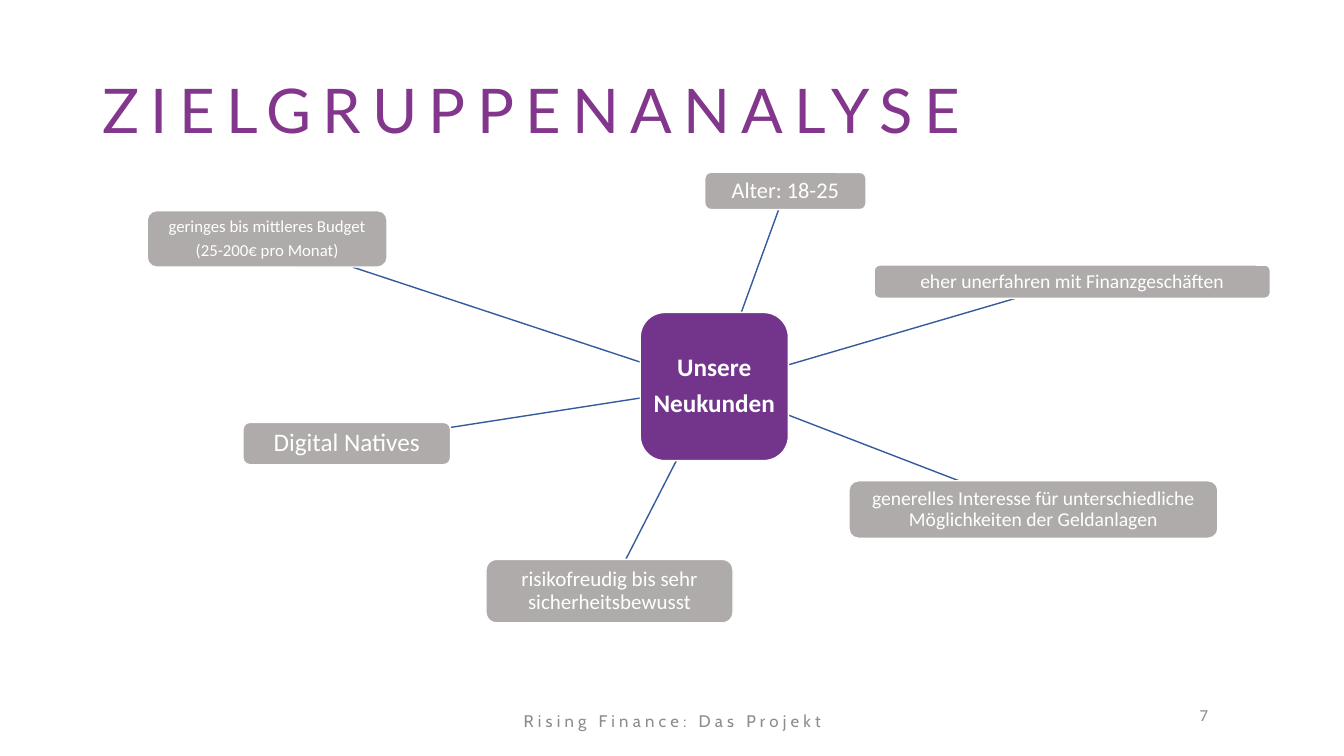
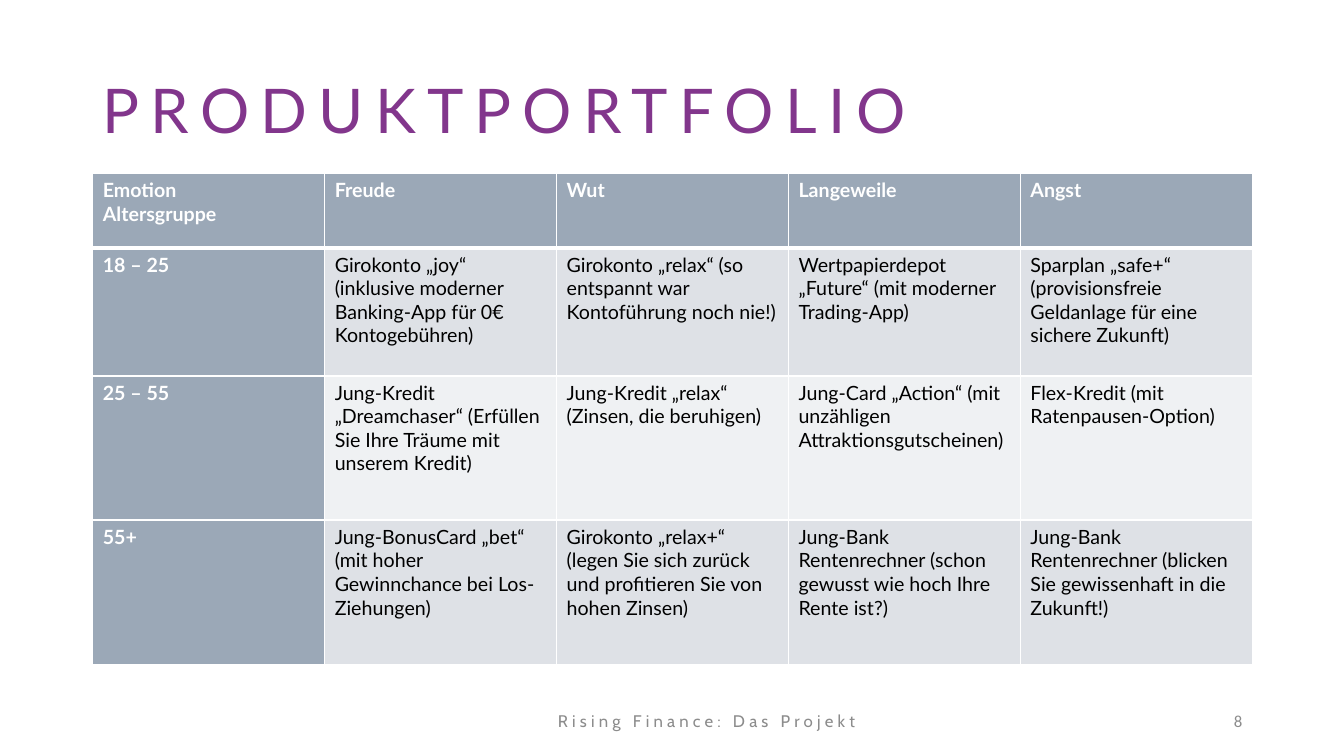
from lxml.etree import SubElement
from pptx import Presentation
from pptx.dml.color import RGBColor
from pptx.enum.shapes import MSO_CONNECTOR, MSO_SHAPE
from pptx.enum.text import MSO_ANCHOR, PP_ALIGN
from pptx.oxml import parse_xml
from pptx.oxml.ns import nsdecls, qn
from pptx.util import Inches, Pt

# Palette
PURPLE = RGBColor(0x82, 0x36, 0x8C)
INDIGO = RGBColor(0x27, 0x34, 0x8B)
HUB_PURPLE = RGBColor(0x72, 0x35, 0x8B)
LABEL_GRAY = RGBColor(0xAF, 0xAB, 0xAB)
SPOKE_BLUE = RGBColor(0x36, 0x5B, 0x9D)
FOOTER_GRAY = RGBColor(0x8C, 0x8C, 0x8C)
HEADER_BLUE = RGBColor(0x9B, 0xA8, 0xB7)
BAND_DARK = RGBColor(0xDE, 0xE1, 0xE6)
BAND_LIGHT = RGBColor(0xEF, 0xF1, 0xF3)
WHITE = RGBColor(0xFF, 0xFF, 0xFF)
BLACK = RGBColor(0, 0, 0)

FOOTER = "Rising Finance: Das Projekt"

# Mind map: (left, top, width, height), font size, text
HUB = ((6.35, 3.1, 1.47, 1.47), 18, "Unsere\nNeukunden")
LABELS = [
    ((6.99, 1.71, 1.6, 0.37), 16, "Alter: 18-25"),
    ((8.67, 2.63, 3.93, 0.33), 14, "eher unerfahren mit Finanzgeschäften"),
    ((8.42, 4.77, 3.66, 0.57), 14,
     "generelles Interesse für unterschiedliche Möglichkeiten der Geldanlagen"),
    ((4.82, 5.55, 2.45, 0.63), 15, "risikofreudig bis sehr sicherheitsbewusst"),
    ((2.41, 4.19, 2.06, 0.42), 18, "Digital Natives"),
    ((1.46, 2.09, 2.38, 0.56), 12,
     "geringes bis mittleres Budget\n(25-200€ pro Monat)"),
]

# Product table
ROW_HEIGHTS = [0.74, 1.27, 1.43, 1.43]
PRODUCTS = [
    ["Emotion\nAltersgruppe", "Freude", "Wut", "Langeweile", "Angst"],
    ["18 – 25",
     "Girokonto „joy“ (inklusive moderner Banking-App für 0€ Kontogebühren)",
     "Girokonto „relax“ (so entspannt war Kontoführung noch nie!)",
     "Wertpapierdepot „Future“ (mit moderner Trading-App)",
     "Sparplan „safe+“ (provisionsfreie Geldanlage für eine sichere Zukunft)"],
    ["25 – 55",
     "Jung-Kredit „Dreamchaser“ (Erfüllen Sie Ihre Träume mit unserem Kredit)",
     "Jung-Kredit „relax“ (Zinsen, die beruhigen)",
     "Jung-Card „Action“ (mit unzähligen Attraktionsgutscheinen)",
     "Flex-Kredit (mit Ratenpausen-Option)"],
    ["55+",
     "Jung-BonusCard „bet“ (mit hoher Gewinnchance bei Los-Ziehungen)",
     "Girokonto „relax+“ (legen Sie sich zurück und profitieren Sie von hohen Zinsen)",
     "Jung-Bank Rentenrechner (schon gewusst wie hoch Ihre Rente ist?)",
     "Jung-Bank Rentenrechner (blicken Sie gewissenhaft in die Zukunft!)"],
]


def center(area):
    left, top, width, height = area
    return left + width / 2, top + height / 2


def edge_toward(area, target):
    """Point where the ray from the area's center to the target leaves it."""
    x, y = center(area)
    dx, dy = target[0] - x, target[1] - y
    scale = 1 / max(abs(dx) / (area[2] / 2), abs(dy) / (area[3] / 2))
    return x + dx * scale, y + dy * scale


class Deck:
    def __init__(self):
        self.deck = Presentation()
        self.deck.slide_width = Inches(13.33)
        self.deck.slide_height = Inches(7.5)
        self.page = None

    def new_page(self, title, number, footer_left, number_area):
        self.page = self.deck.slides.add_slide(self.deck.slide_layouts[6])
        para = self.text((0.92, 0.4, 11.5, 1.45), title, "Lato", 44, PURPLE, spacing=8)
        para.line_spacing = 0.9
        fill = para.font.fill
        fill.gradient()
        fill.gradient_angle = 0
        for stop, color in zip(fill.gradient_stops, (PURPLE, INDIGO)):
            stop.color.rgb = color
        self.text((footer_left, 6.95, 12.18, 0.4), FOOTER, "Cabin", 12, FOOTER_GRAY,
                  PP_ALIGN.CENTER, spacing=3)
        self.text(number_area, number, "Calibri", 12, FOOTER_GRAY, PP_ALIGN.RIGHT)

    def style(self, para, font, size, color, bold=False, align=PP_ALIGN.LEFT):
        para.alignment = align
        para.font.name = font
        para.font.size = Pt(size)
        para.font.bold = bold
        para.font.color.rgb = color

    def text(self, area, text, font, size, color, align=PP_ALIGN.LEFT, spacing=0):
        box = self.page.shapes.add_textbox(*map(Inches, area))
        frame = box.text_frame
        frame.word_wrap = True
        frame.vertical_anchor = MSO_ANCHOR.MIDDLE
        frame.text = text
        para = frame.paragraphs[0]
        self.style(para, font, size, color, align=align)
        if spacing:
            para._p.pPr.find(qn("a:defRPr")).set("spc", str(spacing * 100))
        return para

    def bubble(self, area, size, text, color, bold=False):
        shape = self.page.shapes.add_shape(MSO_SHAPE.ROUNDED_RECTANGLE, *map(Inches, area))
        shape.shadow.inherit = False
        shape.fill.solid()
        shape.fill.fore_color.rgb = color
        shape.line.color.rgb = WHITE
        shape.line.width = Pt(1)
        frame = shape.text_frame
        frame.word_wrap = True
        frame.vertical_anchor = MSO_ANCHOR.MIDDLE
        frame.margin_left = frame.margin_right = Inches(0.05)
        frame.margin_top = frame.margin_bottom = Inches(0.04)
        frame.text = text
        for para in frame.paragraphs:
            self.style(para, "Calibri", size, WHITE, bold, PP_ALIGN.CENTER)
            para.line_spacing = 0.9
            para.space_after = Pt(size * 0.35)

    def spoke(self, hub, label):
        start = edge_toward(hub, center(label))
        end = edge_toward(label, center(hub))
        line = self.page.shapes.add_connector(
            MSO_CONNECTOR.STRAIGHT, *map(Inches, start + end))
        line.line.color.rgb = SPOKE_BLUE
        line.line.width = Pt(1)
        SubElement(line._element.spPr, qn("a:effectLst"))

    def borders(self, cell, top, bottom):
        properties = cell._tc.get_or_add_tcPr()
        widths = {"lnL": 1, "lnR": 1, "lnT": top, "lnB": bottom}
        for index, (side, width) in enumerate(widths.items()):
            properties.insert(index, parse_xml(
                f'<a:{side} {nsdecls("a")} w="{Pt(width)}"><a:solidFill>'
                f'<a:srgbClr val="{WHITE}"/></a:solidFill></a:{side}>'))

    def table(self, area, heights, rows):
        frame = self.page.shapes.add_table(len(rows), len(rows[0]), *map(Inches, area))
        table = frame.table
        for column in table.columns:
            column.width = Inches(area[2] / len(rows[0]))
        for r, (height, texts) in enumerate(zip(heights, rows)):
            table.rows[r].height = Inches(height)
            for c, text in enumerate(texts):
                cell = table.cell(r, c)
                heading = r == 0 or c == 0
                band = BAND_DARK if r % 2 else BAND_LIGHT
                cell.fill.solid()
                cell.fill.fore_color.rgb = HEADER_BLUE if heading else band
                self.borders(cell, 3 if r == 1 else 1, 3 if r == 0 else 1)
                cell.text = text
                for para in cell.text_frame.paragraphs:
                    self.style(para, "Lato", 14, WHITE if heading else BLACK, heading)


def main():
    deck = Deck()

    # Target group mind map
    deck.new_page("ZIELGRUPPENANALYSE", "7", 0.58, (9.08, 6.89, 3, 0.4))
    for area, size, text in LABELS:
        deck.spoke(HUB[0], area)
        deck.bubble(area, size, text, LABEL_GRAY)
    deck.bubble(*HUB, HUB_PURPLE, bold=True)

    # Product portfolio table
    deck.new_page("PRODUKTPORTFOLIO", "8", 0.92, (9.42, 6.95, 3, 0.4))
    deck.table((0.92, 1.72, 11.5, sum(ROW_HEIGHTS)), ROW_HEIGHTS, PRODUCTS)

    deck.deck.save("out.pptx")


if __name__ == "__main__":
    main()
